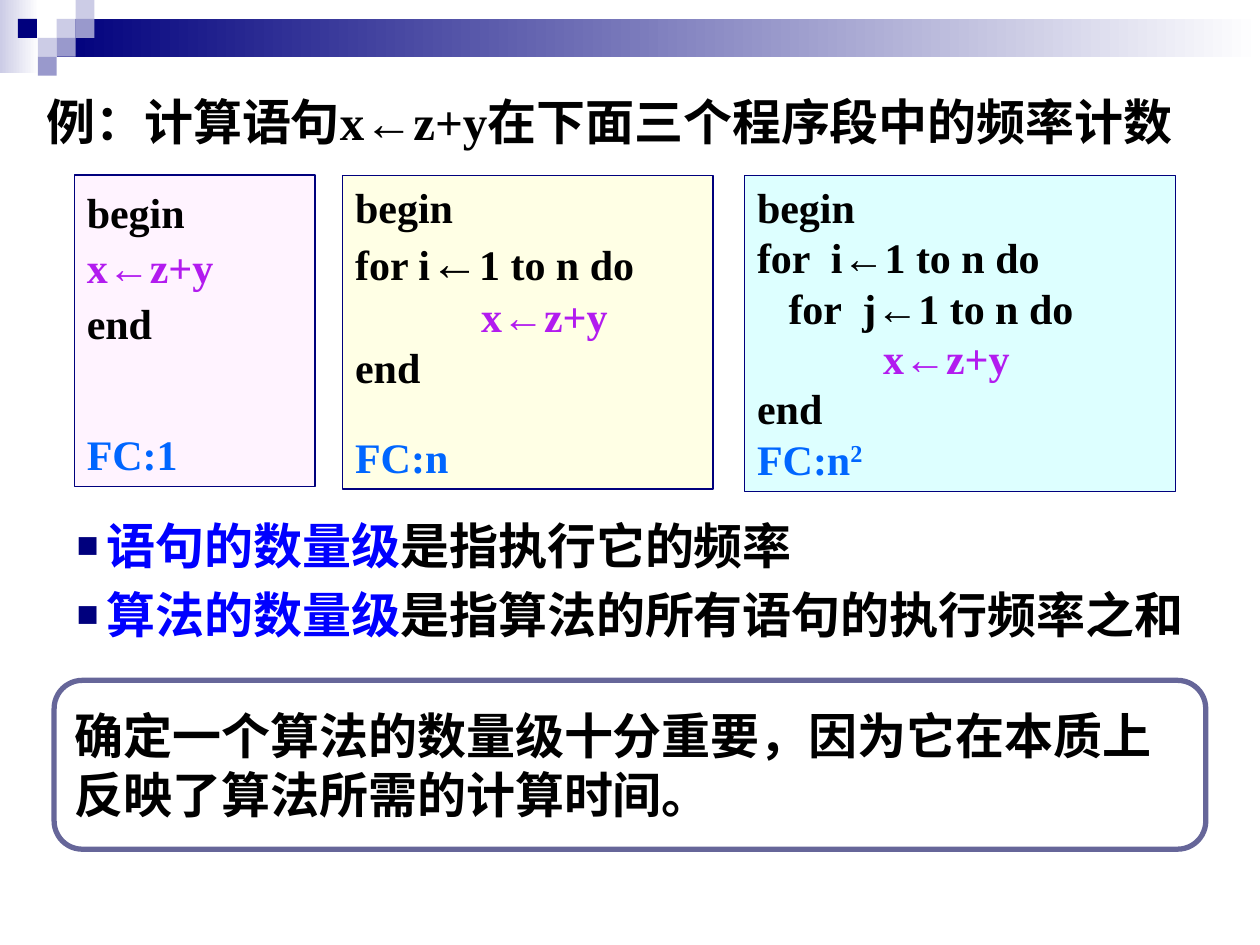
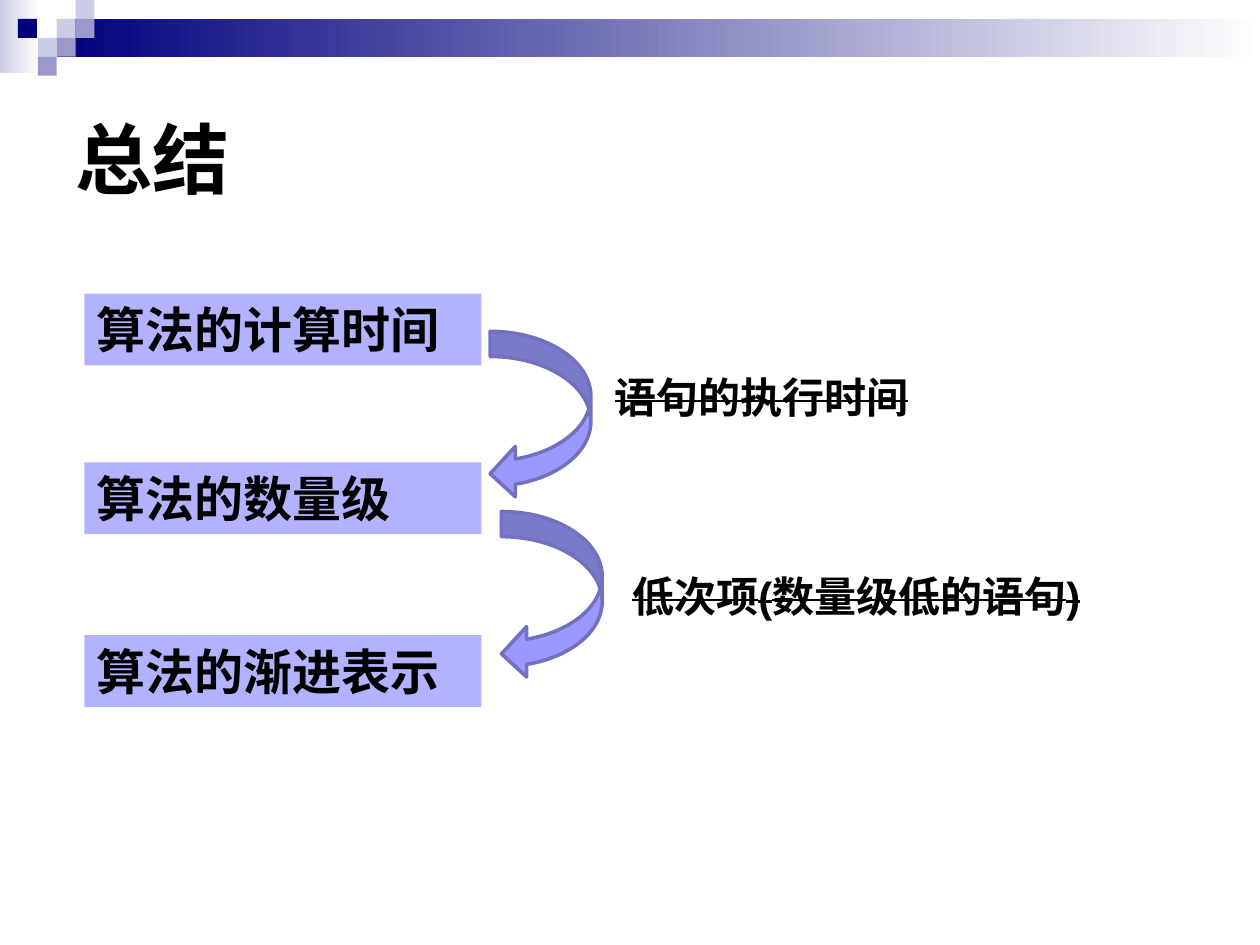
from dataclasses import dataclass
from lxml.etree import SubElement
from pptx import Presentation
from pptx.dml.color import RGBColor
from pptx.enum.shapes import MSO_SHAPE
from pptx.enum.text import MSO_ANCHOR, PP_ALIGN
from pptx.oxml.ns import qn
from pptx.util import Inches, Pt


@dataclass(frozen=True)
class Theme:
    navy: str = "00007D"
    pale: str = "CCCCE6"
    mid: str = "9999CC"
    white: str = "FFFFFF"
    black: str = "000000"
    blue: str = "0000FF"
    sky: str = "0066FF"
    purple: str = "B21BEF"
    pink: str = "FFF3FF"
    cream: str = "FFFFE5"
    aqua: str = "DDFFFF"
    frame: str = "666699"
    step: str = "B2B2FF"
    arrow: str = "9999FF"
    edge: str = "7171BD"
    sans: str = "Arial"
    serif: str = "Times New Roman"
    title: int = 44
    head: int = 28
    code: int = 24


T = Theme()


@dataclass
class Run:
    text: str
    color: str = T.black
    size: int = 0
    marks: tuple = ()


@dataclass
class Line:
    runs: list
    space: float = 1.0
    before: int = 0
    indent: float = 0
    hang: float = 0
    bullet: str = ""


def rgb(code):
    return RGBColor.from_string(code)


def apply(target, values):
    for name, value in values.items():
        setattr(target, name, value)


def plain(text, **kind):
    return Line([Run(text, **kind)])


def add_bullet(para, sign):
    props = para._p.get_or_add_pPr()
    color = SubElement(props, qn("a:buClr"))
    SubElement(color, qn("a:srgbClr"), val=T.navy)
    SubElement(props, qn("a:buSzPct"), val="75000")
    SubElement(props, qn("a:buFont"), typeface=T.sans)
    SubElement(props, qn("a:buChar"), char=sign)


def write(shape, lines, size, face=T.sans, anchor=MSO_ANCHOR.TOP):
    frame = shape.text_frame
    apply(frame, {"word_wrap": True, "vertical_anchor": anchor})
    for spot, line in enumerate(lines):
        para = frame.add_paragraph() if spot else frame.paragraphs[0]
        apply(para, {"alignment": PP_ALIGN.LEFT, "line_spacing": line.space,
                     "space_before": Pt(line.before)})
        props = para._p.get_or_add_pPr()
        props.set("marL", str(Inches(line.indent)))
        props.set("indent", str(Inches(-line.hang)))
        if line.bullet:
            add_bullet(para, line.bullet)
        for item in line.runs:
            run = para.add_run()
            run.text = item.text
            apply(run.font, {"name": face, "size": Pt(item.size or size), "bold": True})
            run.font.color.rgb = rgb(item.color)
            for name, value in item.marks:
                run._r.get_or_add_rPr().set(name, value)


def add_text(slide, place, lines, size, **style):
    box = slide.shapes.add_textbox(*map(Inches, place))
    write(box, lines, size, **style)


def add_form(slide, place, fill=None, line=None, width=0.75, kind=MSO_SHAPE.RECTANGLE):
    shape = slide.shapes.add_shape(kind, *map(Inches, place))
    shape.shadow.inherit = False
    if fill:
        shape.fill.solid()
        shape.fill.fore_color.rgb = rgb(fill)
    else:
        shape.fill.background()
    if line:
        shape.line.color.rgb = rgb(line)
        shape.line.width = Pt(width)
    else:
        shape.line.fill.background()
    return shape


def add_fade(slide, place, start):
    fill = add_form(slide, place).fill
    fill.gradient()
    fill.gradient_angle = 0
    for stop, (spot, color) in zip(fill.gradient_stops, ((0, start), (1, T.white))):
        stop.position = spot
        stop.color.rgb = rgb(color)


def add_band(slide):
    add_fade(slide, (0, 0, 0.31, 0.58), T.pale)
    add_fade(slide, (0.45, 0.15, 9.55, 0.3), T.navy)
    cell = 0.15
    tiles = ((3, 1, T.pale), (4, 0, T.pale), (4, 1, T.mid), (2, 2, T.pale),
             (0.95, 1, T.navy), (3, 2, T.mid), (2, 3, T.mid))
    for col, row, color in tiles:
        add_form(slide, (col * cell, row * cell, cell, cell), color)


def add_code(slide, left, width, height, fill, lines):
    box = add_form(slide, (left, 1.39, width, height), fill, T.navy)
    write(box, lines, T.code, T.serif)


def add_count(slide):
    add_text(slide, (0.27, 0.68, 9.5, 0.58),
             [plain("例：计算语句x←z+y在下面三个程序段中的频率计数")], T.head, face=T.serif)
    goal = Run("x←z+y", T.purple)
    deep = Line([goal], indent=1)
    add_code(slide, 0.59, 1.91, 2.47, T.pink, [
        Line([Run("begin")], 1.1), Line([goal], 1.1), Line([Run("end")], 1.1),
        Line([Run("FC:1", T.sky)], 1.5, 32)])
    add_code(slide, 2.72, 2.94, 2.49, T.cream, [
        plain("begin"),
        Line([Run("for i"), Run("←", size=T.head), Run("1 to n do")]),
        deep, plain("end"), Line([Run("FC:n", T.sky)], before=23)])
    add_code(slide, 5.91, 3.42, 2.51, T.aqua, [
        plain("begin"), plain("for  i←1 to n do"), plain("   for  j←1 to n do"),
        deep, plain("end"),
        Line([Run("FC:n", T.sky), Run("2", T.sky, marks=(("baseline", "30000"),))])])
    facts = (("语句的数量级", "是指执行它的频率"),
             ("算法的数量级", "是指算法的所有语句的执行频率之和"))
    add_text(slide, (0.51, 4.04, 9.17, 1.13), [
        Line([Run(term, T.blue), Run(rest)], before=6 * spot,
             indent=0.24, hang=0.24, bullet="■")
        for spot, (term, rest) in enumerate(facts)], T.head)
    note = add_form(slide, (0.43, 5.4, 9.14, 1.34), line=T.frame, width=3,
                    kind=MSO_SHAPE.ROUNDED_RECTANGLE)
    write(note, [plain("确定一个算法的数量级十分重要，因为它在本质上"),
                 plain("反映了算法所需的计算时间。")], T.head, anchor=MSO_ANCHOR.MIDDLE)


def add_recap(slide):
    add_text(slide, (0.5, 0.5, 9, 1.5), [plain("总结")], T.title, anchor=MSO_ANCHOR.MIDDLE)
    steps = ((2.33, "算法的计算时间"), (3.67, "算法的数量级"), (5.04, "算法的渐进表示"))
    for top, text in steps:
        box = add_form(slide, (0.67, top, 3.15, 0.57), T.step)
        write(box, [plain(text)], T.head)
    for left, top in ((3.89, 2.63), (3.98, 4.06)):
        add_form(slide, (left, top, 0.8, 1.33), T.arrow, T.edge, 2,
                 MSO_SHAPE.CURVED_LEFT_ARROW)
    drops = (((4.78, 2.9, 2.82, 0.5), "语句的执行时间"),
             ((4.92, 4.48, 4.25, 0.5), "低次项(数量级低的语句)"))
    for place, text in drops:
        add_text(slide, place, [plain(text, marks=(("strike", "sngStrike"),))], T.code)


def main():
    deck = Presentation()
    apply(deck, {"slide_width": Inches(10), "slide_height": Inches(7.5)})
    for build in (add_count, add_recap):
        slide = deck.slides.add_slide(deck.slide_layouts[6])
        add_band(slide)
        build(slide)
    deck.save("out.pptx")


if __name__ == "__main__":
    main()
